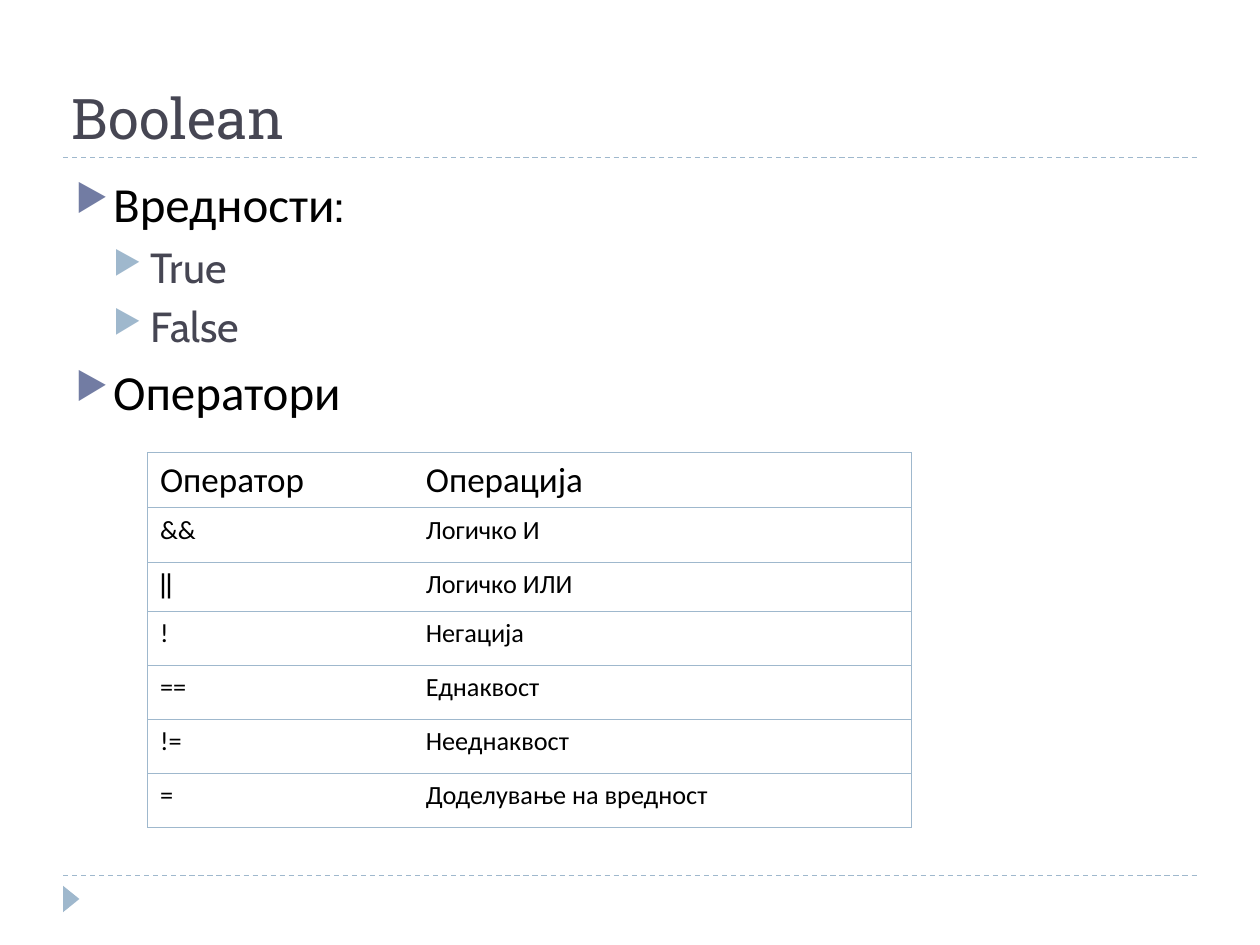
from pptx import Presentation
from pptx.dml.color import RGBColor
from pptx.enum.dml import MSO_LINE
from pptx.enum.shapes import MSO_CONNECTOR, MSO_SHAPE as Shape
from pptx.enum.text import MSO_ANCHOR as Anchor, PP_ALIGN as Align
from pptx.oxml import parse_xml
from pptx.oxml.ns import nsdecls
from pptx.util import Inches, Pt

WHITE = RGBColor(0xFF, 0xFF, 0xFF)
BLACK = RGBColor(0x00, 0x00, 0x00)
SLATE = RGBColor(0x46, 0x46, 0x53)
INDIGO = RGBColor(0x72, 0x7C, 0xA3)
SKY = RGBColor(0x9F, 0xB8, 0xCD)

HEADING_FONT = "Roboto Slab"
TEXT_FONT = "Calibri"
LATIN_FONT = "Cabin"

# Per outline level: text size, text colour, bullet colour, space before
LEVELS = [(28, BLACK, INDIGO, 6), (24, SLATE, SKY, 5)]

OUTLINE = [
    (0, [("Вредности", TEXT_FONT), (":", LATIN_FONT)]),
    (1, [("True", LATIN_FONT)]),
    (1, [("False", LATIN_FONT)]),
    (0, [("Оператори", TEXT_FONT)]),
]

OPERATORS = [
    ("Оператор", "Операција"),
    ("&&", "Логичко И"),
    ("||", "Логичко ИЛИ"),
    ("!", "Негација"),
    ("==", "Еднаквост"),
    ("!=", "Нееднаквост"),
    ("=", "Доделување на вредност"),
]


class LessonSlide:
    """A slide on a grid of 100 columns by 75 rows."""

    def __init__(self, deck):
        deck.slide_width, deck.slide_height = Inches(10), Inches(7.5)
        self.unit = deck.slide_width / 100
        self.slide = deck.slides.add_slide(deck.slide_layouts[5])
        self.shapes = self.slide.shapes
        background = self.slide.background.fill
        background.solid()
        background.fore_color.rgb = WHITE

    def grid(self, *lengths):
        return [round(length * self.unit) for length in lengths]

    def style(self, run, size, color, font):
        run.font.size, run.font.name = Pt(size), font
        run.font.color.rgb = color

    def rule(self, row):
        line = self.shapes.add_connector(
            MSO_CONNECTOR.STRAIGHT, *self.grid(5, row, 95, row))
        line.line.color.rgb = SKY
        line.line.width = Pt(0.75)
        line.line.dash_style = MSO_LINE.DASH
        line._element.spPr.append(
            parse_xml(f"<a:effectLst {nsdecls('a')}/>"))

    def marker(self, left, top, width, height):
        triangle = self.shapes.add_shape(
            Shape.ISOSCELES_TRIANGLE, *self.grid(left, top, width, height))
        triangle.rotation = 90
        triangle.shadow.inherit = False
        triangle.fill.solid()
        triangle.fill.fore_color.rgb = SKY
        triangle.line.fill.background()

    def title(self, text, left, top, width, height):
        heading = self.shapes.title
        heading.left, heading.top, heading.width, heading.height = self.grid(
            left, top, width, height)
        frame = heading.text_frame
        frame.text = text
        frame.vertical_anchor = Anchor.BOTTOM
        frame.paragraphs[0].alignment = Align.LEFT
        self.style(frame.paragraphs[0].runs[0], 32, SLATE, HEADING_FONT)

    def outline(self, items, left, top, width, height):
        frame = self.shapes.add_textbox(
            *self.grid(left, top, width, height)).text_frame
        frame.word_wrap = True
        for index, (level, parts) in enumerate(items):
            paragraph = frame.add_paragraph() if index else frame.paragraphs[0]
            size, color, bullet_color, space = LEVELS[level]
            paragraph.level = level
            paragraph.space_before = Pt(space)
            for text, font in parts:
                run = paragraph.add_run()
                run.text = text
                self.style(run, size, color, font)
            self.bullet(paragraph, level, bullet_color)

    def bullet(self, paragraph, level, color):
        indent = Inches(0.3)
        properties = paragraph._p.get_or_add_pPr()
        properties.set("marL", str(indent * (level + 1)))
        properties.set("indent", str(-indent))
        for part in (f'<a:buClr {{}}><a:srgbClr val="{color}"/></a:buClr>',
                     '<a:buSzPct {} val="76000"/>',
                     '<a:buChar {} char="▶"/>'):
            properties.append(parse_xml(part.format(nsdecls("a"))))

    def table(self, rows, left, top, columns, heights):
        grid = self.shapes.add_table(
            len(rows), len(columns),
            *self.grid(left, top, sum(columns), sum(heights))).table
        grid.first_row = grid.horz_banding = False
        for column, width in zip(grid.columns, self.grid(*columns)):
            column.width = width
        for row, height in zip(grid.rows, self.grid(*heights)):
            row.height = height
        for r, texts in enumerate(rows):
            size, space = (15, 3.7) if r else (20, 5)
            for c, text in enumerate(texts):
                cell = grid.cell(r, c)
                cell.text = text
                paragraph = cell.text_frame.paragraphs[0]
                paragraph.space_before = Pt(space)
                font = LATIN_FONT if text == "||" else TEXT_FONT
                self.style(paragraph.runs[0], size, BLACK, font)
                inner_side = "R" if c == 0 else "L"
                self.borders(cell, inner_side)
                cell.fill.solid()
                cell.fill.fore_color.rgb = WHITE

    def borders(self, cell, open_side):
        properties = cell._tc.get_or_add_tcPr()
        solid = f'<a:solidFill><a:srgbClr val="{SKY}"/></a:solidFill>'
        for side in "LRTB":
            fill = "<a:noFill/>" if side == open_side else solid
            properties.append(parse_xml(
                f'<a:ln{side} {nsdecls("a")} w="{Pt(0.45)}">{fill}</a:ln{side}>'))


def main():
    deck = Presentation()
    lesson = LessonSlide(deck)
    for row in (69.5, 12.5):
        lesson.rule(row)
    lesson.marker(4.6, 70.7, 2.1, 1.3)
    lesson.title("Boolean", 4.7, 0, 90, 12.5)
    lesson.outline(OUTLINE, 5, 13.3, 90.3, 56.3)
    lesson.table(OPERATORS, 11.7, 35.9, columns=(21.1, 39.5),
                 heights=[4.4, 4.3, 3.9] + [4.3] * 4)
    deck.save("out.pptx")


if __name__ == "__main__":
    main()
